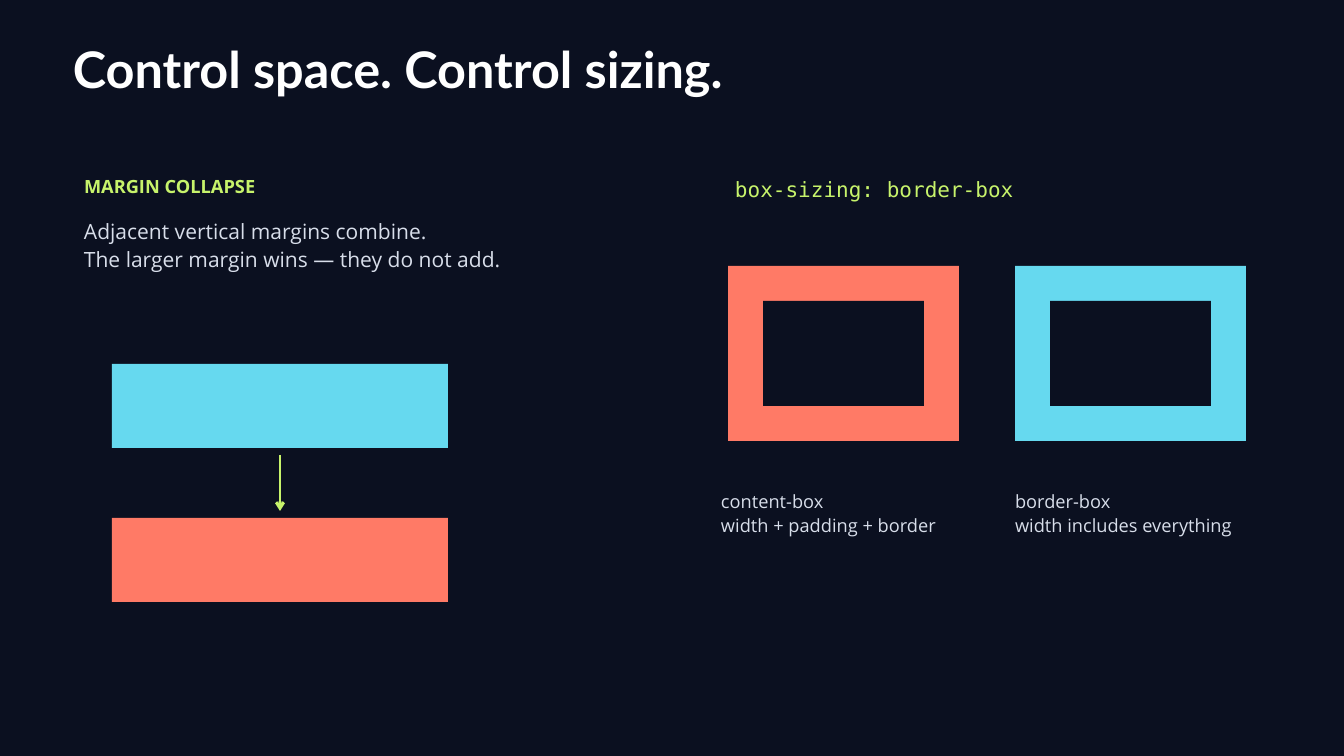
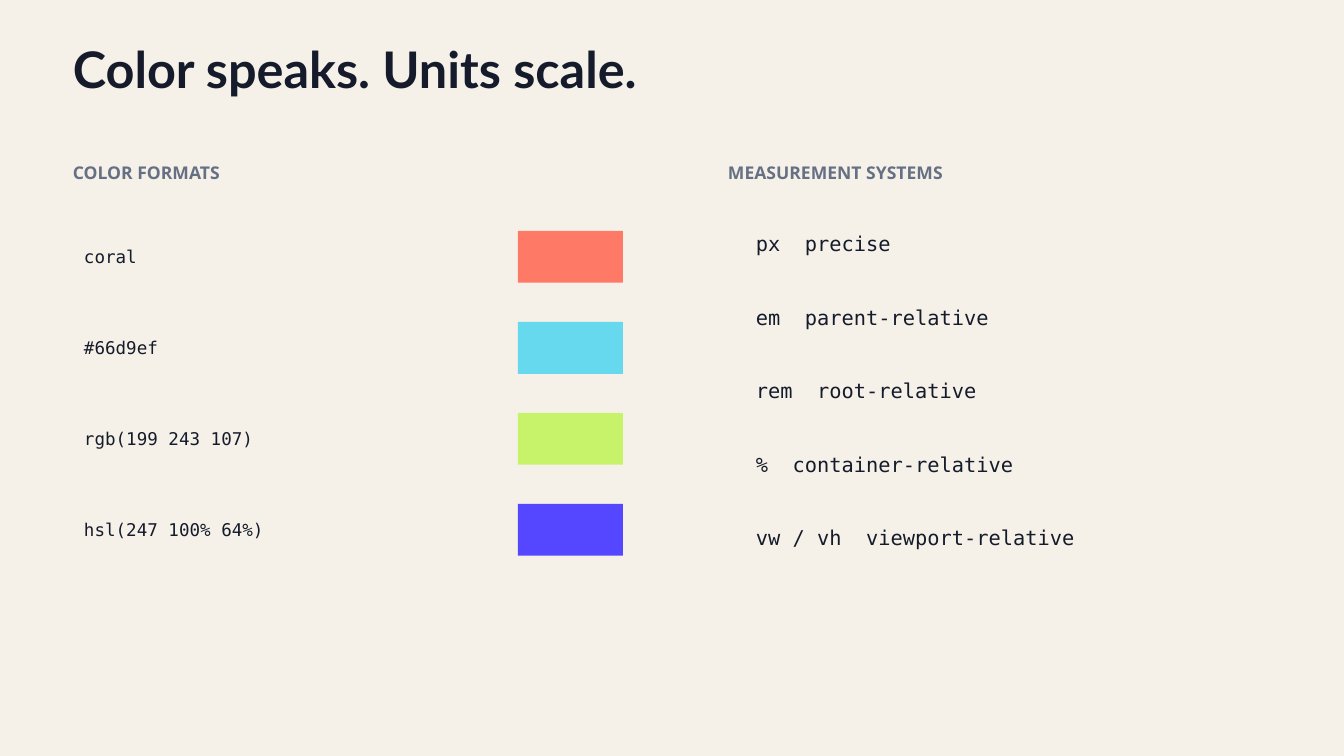
from dataclasses import dataclass

from lxml import etree
from pptx import Presentation
from pptx.dml.color import RGBColor
from pptx.enum.shapes import MSO_CONNECTOR, MSO_SHAPE
from pptx.enum.text import MSO_AUTO_SIZE
from pptx.oxml.ns import qn
from pptx.slide import Slide
from pptx.util import Pt

RECT = MSO_SHAPE.RECTANGLE
LINE = MSO_CONNECTOR.STRAIGHT
GROW = MSO_AUTO_SIZE.SHAPE_TO_FIT_TEXT

# Colours
NIGHT = RGBColor(0x0B, 0x10, 0x20)
CREAM = RGBColor(0xF5, 0xF1, 0xE8)
WHITE = RGBColor(0xFF, 0xFF, 0xFF)
INK = RGBColor(0x15, 0x1B, 0x2B)
MIST = RGBColor(0xD8, 0xDE, 0xEA)
SLATE = RGBColor(0x66, 0x70, 0x85)
CORAL = RGBColor(0xFF, 0x7A, 0x66)
CYAN = RGBColor(0x66, 0xD9, 0xEF)
LIME = RGBColor(0xC7, 0xF3, 0x6B)
VIOLET = RGBColor(0x55, 0x46, 0xFF)

HEAD, BODY, MONO = "Lato", "Open Sans", "DejaVu Sans Mono"
EM = 0.602  # width of one monospaced character, relative to its size


@dataclass(frozen=True)
class Style:
    font: str
    size: float
    lead: float
    color: RGBColor
    bold: bool = False


@dataclass(frozen=True)
class Box:
    x: float
    y: float
    w: float
    h: float

    def inset(self, d: float) -> "Box":
        return Box(self.x + d, self.y + d, self.w - 2 * d, self.h - 2 * d)

    def pts(self) -> tuple[Pt, ...]:
        return Pt(self.x), Pt(self.y), Pt(self.w), Pt(self.h)


# Text styles
LABEL = Style(BODY, 19.5, 27.3, LIME, True)
LEAD = Style(BODY, 22.5, 30.4, MIST)
RULE = Style(MONO, 22.5, 30.4, LIME)
NOTE = Style(BODY, 19.5, 26.3, MIST)
TOPIC = Style(BODY, 18.8, 26.2, SLATE, True)
CODE = Style(MONO, 18.8, 25.3, INK)
UNIT = Style(MONO, 21.8, 29.4, INK)


def add_text(slide: Slide, box: Box, style: Style, *lines: str,
             stop: float = 0) -> None:
    frame = slide.shapes.add_textbox(*box.pts()).text_frame
    frame.word_wrap = True
    frame.auto_size = GROW
    frame.margin_left = frame.margin_right = 0
    frame.margin_top = frame.margin_bottom = 0
    for i, line in enumerate(lines):
        para = frame.add_paragraph() if i else frame.paragraphs[0]
        para.line_spacing = Pt(style.lead)
        if stop:
            tabs = etree.SubElement(para._p.get_or_add_pPr(), qn("a:tabLst"))
            etree.SubElement(tabs, qn("a:tab"), pos=str(Pt(stop)), algn="l")
        run = para.add_run()
        run.text = line
        run.font.name = style.font
        run.font.size = Pt(style.size)
        run.font.bold = style.bold
        run.font.color.rgb = style.color


def add_block(slide: Slide, box: Box, color: RGBColor) -> None:
    shape = slide.shapes.add_shape(RECT, *box.pts())
    shape.shadow.inherit = False
    shape.fill.solid()
    shape.fill.fore_color.rgb = color
    shape.line.fill.background()


def add_arrow(slide: Slide, x: float, top: float, end: float) -> None:
    line = slide.shapes.add_connector(LINE, Pt(x), Pt(top), Pt(x), Pt(end))
    line.line.color.rgb = LIME
    line.line.width = Pt(3)
    etree.SubElement(line.line._get_or_add_ln(), qn("a:tailEnd"), type="arrow")
    etree.SubElement(line._element.spPr, qn("a:effectLst"))


def add_page(deck: Presentation, title: str, ground: RGBColor,
             color: RGBColor) -> Slide:
    slide = deck.slides.add_slide(deck.slide_layouts[6])
    fill = slide.background.fill
    fill.solid()
    fill.fore_color.rgb = ground
    add_text(slide, Box(78, 51, 1050, 66),
             Style(HEAD, 54, 55.1, color, True), title)
    return slide


def draw_space(deck: Presentation) -> None:
    slide = add_page(deck, "Control space. Control sizing.", NIGHT, WHITE)

    # Margin collapse
    add_text(slide, Box(90, 183.75, 450, 27), LABEL, "MARGIN COLLAPSE")
    add_text(slide, Box(90, 230.25, 487.5, 59), LEAD,
             "Adjacent vertical margins combine.",
             "The larger margin wins — they do not add.")
    add_block(slide, Box(120, 390, 360, 90), CYAN)
    add_block(slide, Box(120, 555, 360, 90), CORAL)
    add_arrow(slide, 300, 487.5, 547.5)

    # Box sizing: a frame and its caption for each model
    add_text(slide, Box(787.5, 185.25, 525, 29), RULE,
             "box-sizing: border-box")
    models = (
        (780, 772.5, CORAL, "content-box", "width + padding + border"),
        (1087.5, 1087.5, CYAN, "border-box", "width includes everything"),
    )
    for x, left, color, name, rule in models:
        frame = Box(x, 285, 247.5, 187.5)
        add_block(slide, frame, color)
        add_block(slide, frame.inset(37.5), NIGHT)
        add_text(slide, Box(left, 522, 270, 52.5), NOTE, name, rule)


def draw_color(deck: Presentation) -> None:
    slide = add_page(deck, "Color speaks. Units scale.", CREAM, INK)

    # Colour formats with swatches
    add_text(slide, Box(78, 169.5, 375, 25), TOPIC, "COLOR FORMATS")
    formats = (("coral", CORAL), ("#66d9ef", CYAN),
               ("rgb(199 243 107)", LIME), ("hsl(247 100% 64%)", VIOLET))
    for i, (code, color) in enumerate(formats):
        y = 247.5 + i * 97.5
        add_block(slide, Box(555, y, 112.5, 55.5), color)
        add_text(slide, Box(90, y + 13.75, 390, 23), CODE, code)

    # Units: the meaning starts two characters after the unit
    add_text(slide, Box(780, 169.5, 487.5, 25), TOPIC, "MEASUREMENT SYSTEMS")
    units = (("px", "precise"), ("em", "parent-relative"),
             ("rem", "root-relative"), ("%", "container-relative"),
             ("vw / vh", "viewport-relative"))
    for i, (unit, sense) in enumerate(units):
        add_text(slide, Box(810, 244.75 + i * 78.75, 487.5, 29), UNIT,
                 f"{unit}\t{sense}", stop=(len(unit) + 2) * EM * UNIT.size)


def main() -> None:
    deck = Presentation()
    deck.slide_width, deck.slide_height = Pt(1440), Pt(810)
    draw_space(deck)
    draw_color(deck)
    deck.save("out.pptx")


if __name__ == "__main__":
    main()
